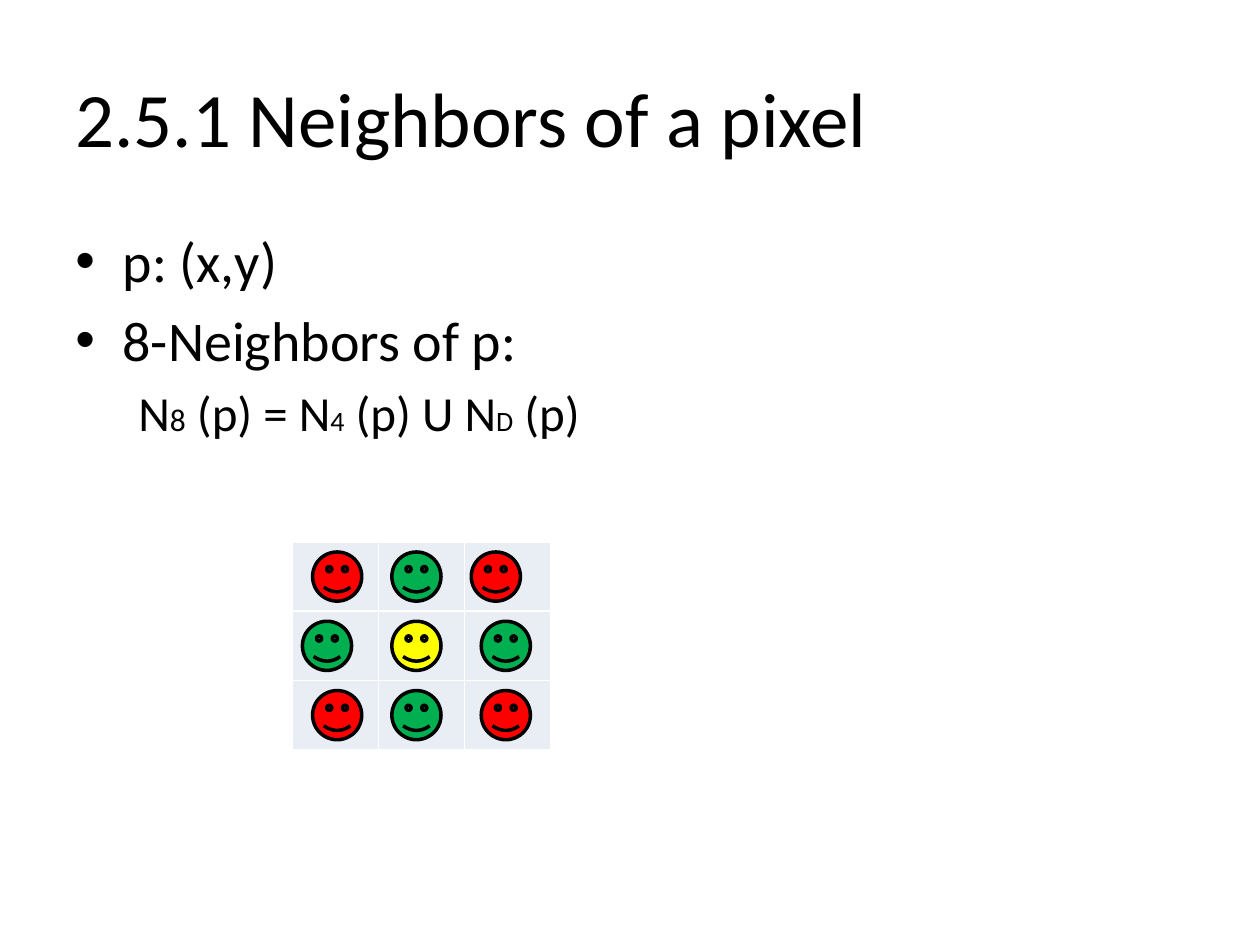
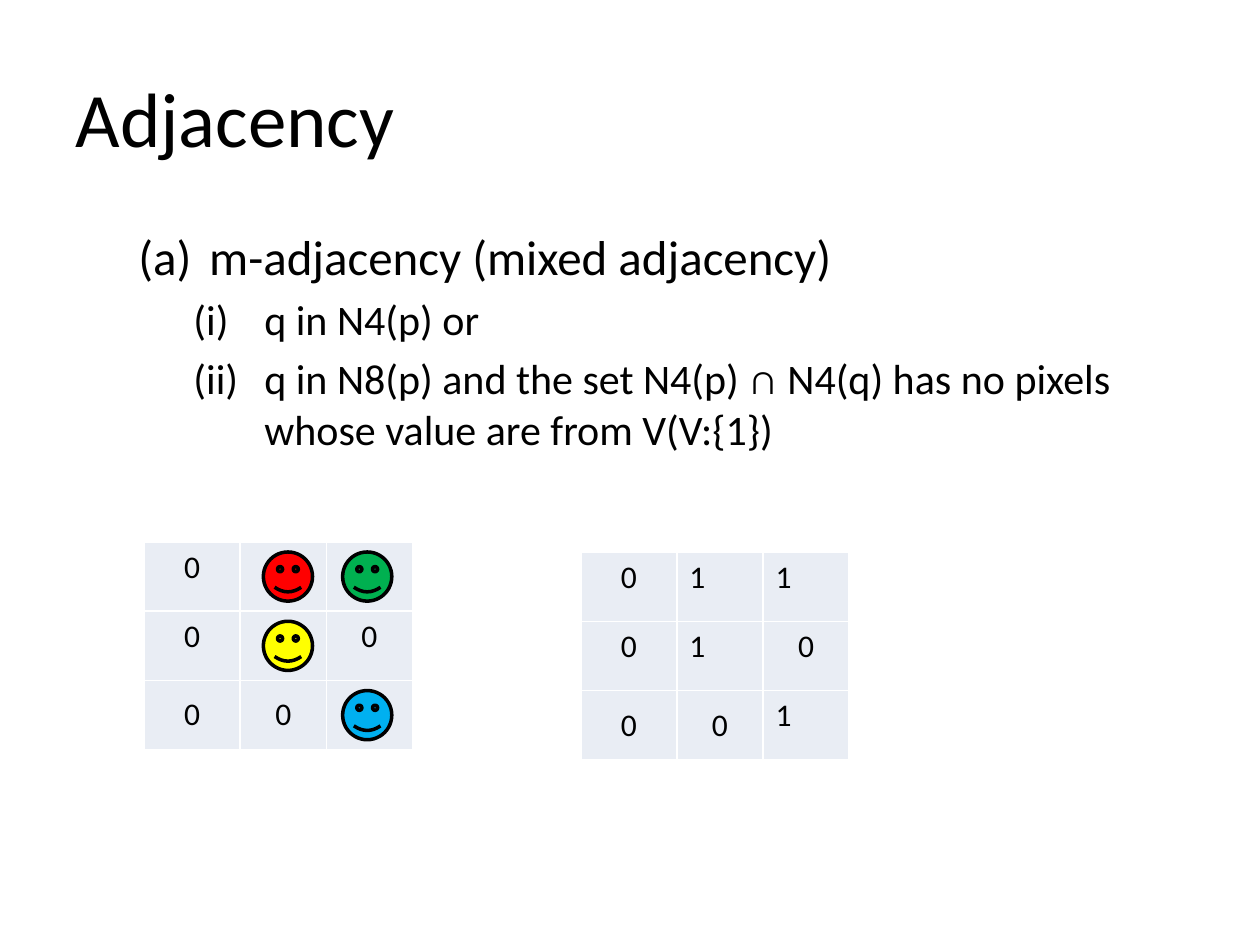
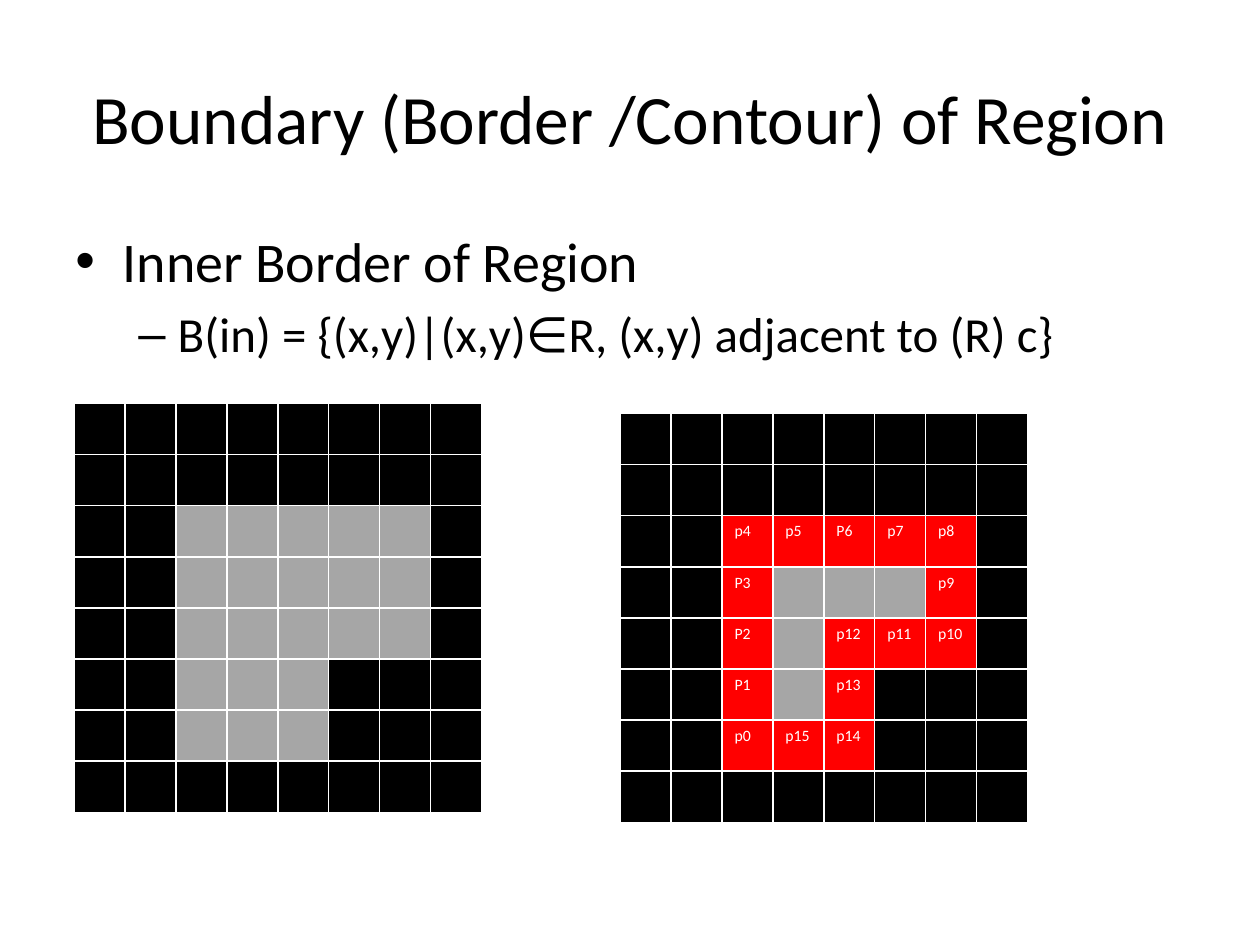
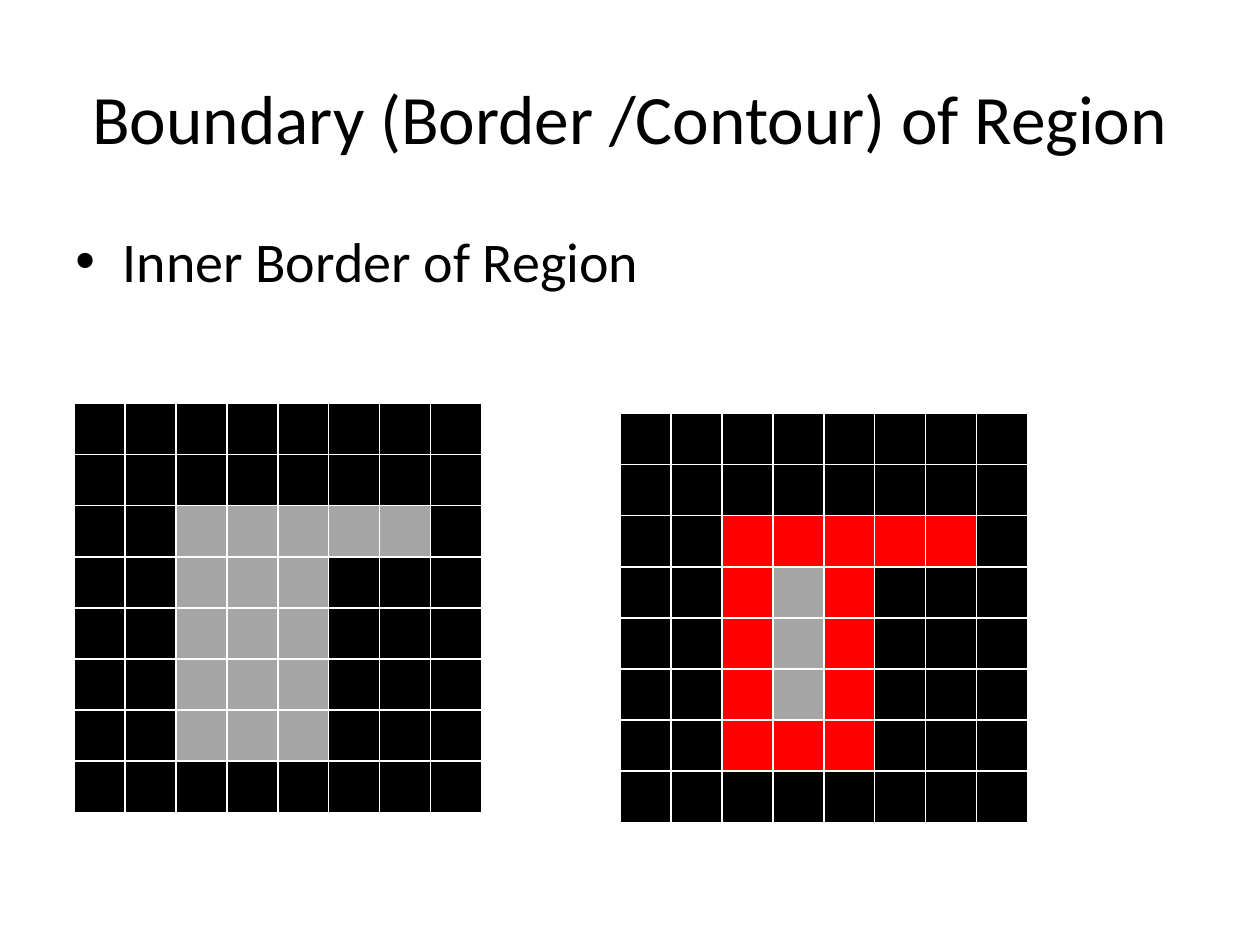
from lxml import etree
from pptx import Presentation
from pptx.dml.color import RGBColor
from pptx.enum import shapes, text
from pptx.oxml import ns
from pptx.util import Pt

# Shared look
FONT = "Calibri"
BLACK, WHITE, GREY, PALE = "000000", "FFFFFF", "A6A6A6", "E9EDF4"
RED, GREEN, YELLOW, BLUE = "FF0000", "00B050", "FFFF00", "00B0F0"
LEFT, CENTER = text.PP_ALIGN.LEFT, text.PP_ALIGN.CENTER
TOP, MIDDLE = text.MSO_ANCHOR.TOP, text.MSO_ANCHOR.MIDDLE
TITLE_BOX = dict(left=Pt(36), top=Pt(21.6), width=Pt(648), height=Pt(90))
BODY_BOX = dict(left=Pt(36), top=Pt(126), width=Pt(648), height=Pt(356.4))
FRAME = dict(word_wrap=True, auto_size=text.MSO_AUTO_SIZE.NONE)

# Paragraph styles: level, left margin, first-line indent, size, bullet, bullet value
STYLES = {
    "dot": (0, 27, -27, 32, "buChar", "•"),
    "dash": (1, 58.5, -22.5, 28, "buChar", "–"),
    "formula": (1, 58.5, -22.5, 28, "buNone", None),
    "letter": (1, 76.5, -40.5, 28, "buAutoNum", "alphaLcParenBoth"),
    "roman": (2, 108, -40.5, 24, "buAutoNum", "romanLcParenBoth"),
}

# Grid cells: # background, o region, x border, p border label, . or digit plain
CELL_FILLS = {"#": BLACK, "o": GREY, "x": RED, "p": RED}
EMPTY_CELLS = "#ox."
PIXELS = dict(columns=[29.1] * 8, row_height=29.1, size=9, ink=WHITE)
VALUES = dict(columns=[54.9, 49.2, 49.2], row_height=39.6, size=18, ink=BLACK)
BLANK_ROWS = ["# # # # # # # #"] * 2
LEFT_GRID, RIGHT_GRID = (42.4, 230.6), (354.4, 236.3)

# Smiley faces stand on the rows of the 3 x 3 grids
FACE_SIZE, FACE_TOP = 28.1, 315.4

SLIDES = [
    dict(
        title="2.5.1 Neighbors of a pixel", title_size=44, align=LEFT,
        body=[
            ("dot", "p: (x,y)"),
            ("dot", "8-Neighbors of p:"),
            ("formula", [("N", 28), ("8", 18), (" (p) = N", 28), ("4", 16),
                         (" (p) U N", 28), ("D", 16), (" (p)", 28)]),
        ],
        grids=[((167, 309.6), VALUES | dict(columns=[49.2] * 3), [". . ."] * 3)],
        faces=[  # left, row, colour
            (223.9, 1, YELLOW), (223.9, 0, GREEN), (275, 1, GREEN),
            (172.8, 1, GREEN), (223.9, 2, GREEN), (269.3, 0, RED),
            (178.6, 2, RED), (275, 2, RED), (178.6, 0, RED),
        ],
    ),
    dict(
        title="Adjacency", title_size=44, align=LEFT,
        body=[
            ("letter", "m-adjacency (mixed adjacency)"),
            ("roman", "q in N4(p) or"),
            ("roman", "q in N8(p) and the set N4(p) ∩ N4(q) has no pixels "
                      "whose value are from V(V:{1})"),
        ],
        grids=[
            ((82.4, 309.6), VALUES, ["0 . .", "0 . 0", "0 0 ."]),
            ((331.9, 315.4), VALUES, ["0 1 1", "0 1 0", "0 0 1"]),
        ],
        faces=[(150.5, 1, YELLOW), (150.5, 0, RED),
               (195.8, 0, GREEN), (195.8, 2, BLUE)],
    ),
    dict(
        title="Boundary (Border /Contour) of Region", title_size=39.6, align=CENTER,
        body=[
            ("dot", "Inner Border of Region"),
            ("dash", "B(in) = {(x,y)|(x,y)∈R, (x,y) adjacent to (R) c}"),
        ],
        grids=[
            (LEFT_GRID, PIXELS, BLANK_ROWS + ["# # o o o o o #"] * 3
             + ["# # o o o # # #"] * 2 + BLANK_ROWS[:1]),
            (RIGHT_GRID, PIXELS, BLANK_ROWS + [
                "# # p4 p5 P6 p7 p8 #",
                "# # P3 o o o p9 #",
                "# # P2 o p12 p11 p10 #",
                "# # P1 o p13 # # #",
                "# # p0 p15 p14 # # #"] + BLANK_ROWS[:1]),
        ],
        faces=[],
    ),
    dict(
        title="Boundary (Border /Contour) of Region", title_size=39.6, align=CENTER,
        body=[("dot", "Inner Border of Region")],
        grids=[
            (LEFT_GRID, PIXELS, BLANK_ROWS + ["# # o o o o o #"]
             + ["# # o o o # # #"] * 4 + BLANK_ROWS[:1]),
            (RIGHT_GRID, PIXELS, BLANK_ROWS + ["# # x x x x x #"]
             + ["# # x o x # # #"] * 3 + ["# # x x x # # #"] + BLANK_ROWS[:1]),
        ],
        faces=[],
    ),
]


def color(hex_value):
    return RGBColor.from_string(hex_value)


def set_format(target, values):
    for name, value in values.items():
        setattr(target, name, value)


presentation = Presentation()
set_format(presentation, dict(slide_width=Pt(720), slide_height=Pt(540)))

for content in SLIDES:
    slide = presentation.slides.add_slide(presentation.slide_layouts[5])

    # Title
    title = slide.shapes.title
    set_format(title, TITLE_BOX)
    set_format(title.text_frame, FRAME | dict(text=content["title"], vertical_anchor=MIDDLE))
    paragraph = title.text_frame.paragraphs[0]
    paragraph.alignment = content["align"]
    set_format(paragraph.runs[0].font, dict(name=FONT, size=Pt(content["title_size"])))
    paragraph.runs[0].font.color.rgb = color(BLACK)

    # Body text
    body = slide.shapes.add_textbox(**BODY_BOX).text_frame
    set_format(body, FRAME)
    for index, (style, words) in enumerate(content["body"]):
        level, margin, indent, size, bullet, bullet_value = STYLES[style]
        paragraph = body.add_paragraph() if index else body.paragraphs[0]
        set_format(paragraph, dict(level=level, space_before=Pt(0.2 * size if index else 0)))
        properties = paragraph._p.get_or_add_pPr()
        properties.set("marL", f"{Pt(margin):d}")
        properties.set("indent", f"{Pt(indent):d}")
        if bullet == "buChar":
            etree.SubElement(properties, ns.qn("a:buFont"), typeface="Arial")
        mark = etree.SubElement(properties, ns.qn(f"a:{bullet}"))
        if bullet_value:
            mark.set("char" if bullet == "buChar" else "type", bullet_value)
        for part, part_size in [(words, size)] if isinstance(words, str) else words:
            run = paragraph.add_run()
            run.text = part
            set_format(run.font, dict(name=FONT, size=Pt(part_size)))
            run.font.color.rgb = color(BLACK)

    # Pixel grids
    for (left, top), grid, rows in content["grids"]:
        columns, row_height = grid["columns"], grid["row_height"]
        table = slide.shapes.add_table(
            len(rows), len(columns), Pt(left), Pt(top),
            Pt(sum(columns)), Pt(row_height * len(rows))).table
        set_format(table, dict(first_row=False, horz_banding=False))
        for column, width in zip(table.columns, columns):
            column.width = Pt(width)
        for row_index, row in enumerate(rows):
            table.rows[row_index].height = Pt(row_height)
            for column_index, token in enumerate(row.split()):
                cell = table.cell(row_index, column_index)
                for side in ("lnL", "lnR", "lnT", "lnB"):
                    border = etree.SubElement(
                        cell._tc.get_or_add_tcPr(), ns.qn(f"a:{side}"), w=f"{Pt(1):d}")
                    fill = etree.SubElement(border, ns.qn("a:solidFill"))
                    etree.SubElement(fill, ns.qn("a:srgbClr"), val=WHITE)
                cell.fill.solid()
                cell.fill.fore_color.rgb = color(CELL_FILLS.get(token[0].lower(), PALE))
                if token in EMPTY_CELLS:
                    continue
                is_zero = token == "0"
                cell.text = token
                cell.vertical_anchor = MIDDLE if is_zero and row_index == 2 else TOP
                paragraph = cell.text_frame.paragraphs[0]
                paragraph.alignment = CENTER if is_zero else LEFT
                set_format(paragraph.runs[0].font, dict(name=FONT, size=Pt(grid["size"])))
                paragraph.runs[0].font.color.rgb = color(grid["ink"])

    # Smiley faces
    for left, row_index, face_color in content["faces"]:
        face = slide.shapes.add_shape(
            shapes.MSO_SHAPE.SMILEY_FACE, Pt(left),
            Pt(FACE_TOP + row_index * VALUES["row_height"]), Pt(FACE_SIZE), Pt(FACE_SIZE))
        face.shadow.inherit = False
        face.fill.solid()
        face.fill.fore_color.rgb = color(face_color)
        face.line.color.rgb = color(BLACK)
        face.line.width = Pt(2)

presentation.save("out.pptx")
